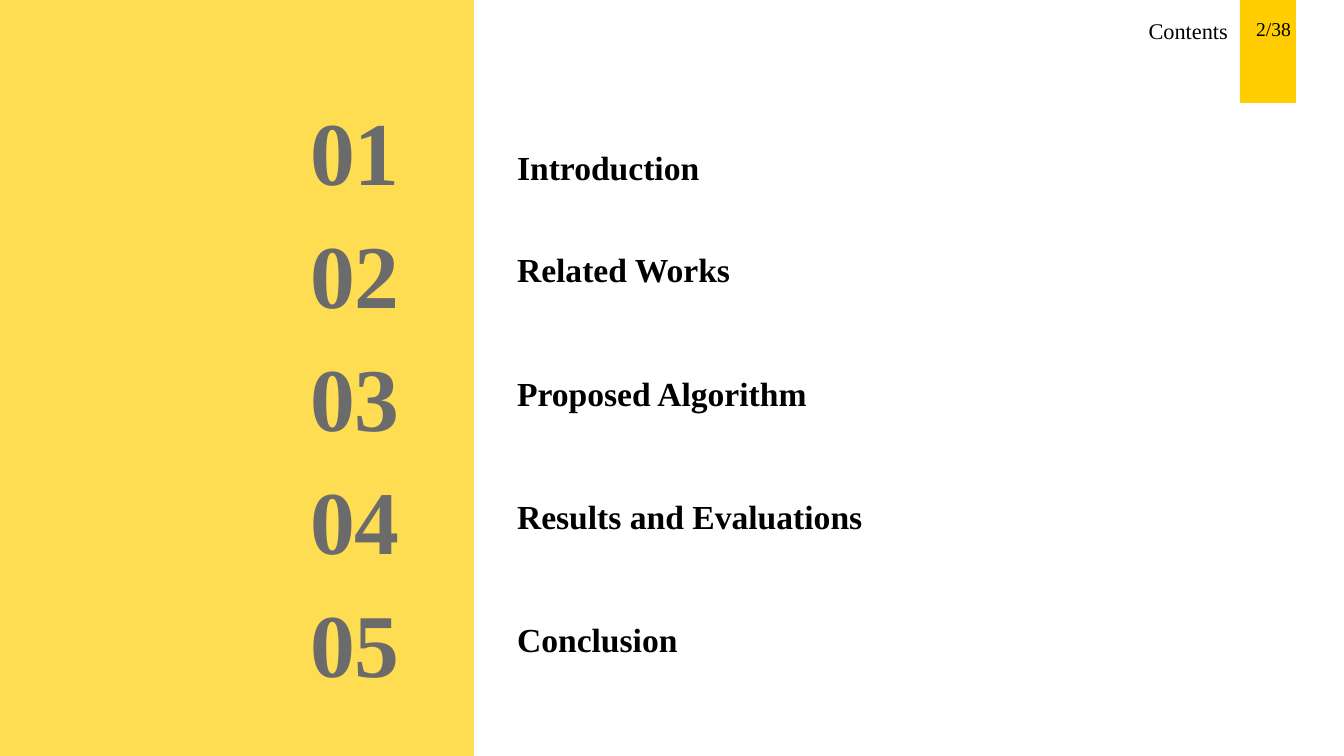
"""Build the contents slide with a numbered list of five sections."""
from lxml import etree
from pptx import Presentation
from pptx import util as u
from pptx.dml.color import RGBColor
from pptx.enum import shapes, text
from pptx.oxml.ns import qn

SCALE = 914400 / 100.8
FONT = "Times New Roman"
YELLOW, WHITE, BLACK, DARK = "FFCD00", "FFFFFF", "000000", "262626"
SECTIONS = [
    ("Introduction", 115),
    ("Related Works", 217),
    ("Proposed Algorithm", 341),
    ("Results and Evaluations", 464),
    ("Conclusion", 587),
]
NUMBER_TOP, NUMBER_STEP = 96, 123


def px(length):
    return u.Emu(round(length * SCALE))


def color(value):
    return RGBColor.from_string(value)


def add_panel(slide, left, top, width, height, fill, opacity=100):
    shape = slide.shapes.add_shape(
        shapes.MSO_SHAPE.RECTANGLE, px(left), px(top), px(width), px(height))
    shape.shadow.inherit = False
    shape.line.fill.background()
    shape.fill.solid()
    shape.fill.fore_color.rgb = color(fill)
    if opacity < 100:
        fill_color = shape.fill._xPr.find(".//" + qn("a:srgbClr"))
        etree.SubElement(fill_color, qn("a:alpha"), val=str(opacity * 1000))


def write_text(shape, words, size, font_color=BLACK, bold=False,
               align=text.PP_ALIGN.LEFT, anchor=text.MSO_ANCHOR.MIDDLE,
               side_inset=13, edge_inset=13):
    frame = shape.text_frame
    frame.text = words
    frame.word_wrap = True
    frame.auto_size = text.MSO_AUTO_SIZE.NONE
    frame.vertical_anchor = anchor
    frame.margin_left = frame.margin_right = px(side_inset)
    frame.margin_top = frame.margin_bottom = px(edge_inset)
    paragraph = frame.paragraphs[0]
    paragraph.alignment = align
    font = paragraph.runs[0].font
    font.name, font.size, font.bold = FONT, u.Pt(size), bold
    font.color.rgb = color(font_color)


def add_label(slide, left, top, width, height, words, size, **style):
    box = slide.shapes.add_textbox(px(left), px(top), px(width), px(height))
    write_text(box, words, size, **style)


def set_title(slide, left, top, width, height, words, size, **style):
    title = slide.shapes.title
    title.left, title.top = px(left), px(top)
    title.width, title.height = px(width), px(height)
    write_text(title, words, size, **style)


def add_section(slide, index, name, name_top):
    add_label(slide, 297, NUMBER_TOP + index * NUMBER_STEP, 231, 85,
              f"{index + 1:02d}", 64, font_color=DARK, bold=True,
              anchor=text.MSO_ANCHOR.TOP, edge_inset=0)
    add_label(slide, 504, name_top, 383, 85, name, 24, bold=True,
              anchor=text.MSO_ANCHOR.BOTTOM)


def main():
    presentation = Presentation()
    presentation.slide_width, presentation.slide_height = px(1344), px(756)
    slide = presentation.slides.add_slide(presentation.slide_layouts[5])
    set_title(slide, 614, 7, 627, 47, "Contents", 16, align=text.PP_ALIGN.RIGHT)
    add_panel(slide, 0, 0, 474, 756, YELLOW)
    for index, (name, name_top) in enumerate(SECTIONS):
        add_section(slide, index, name, name_top)
    add_panel(slide, 0, 0, 474, 756, WHITE, opacity=32)
    add_panel(slide, 1240, 0, 56, 103, YELLOW)
    add_label(slide, 1220, 12, 81, 47, "2/38", 14, align=text.PP_ALIGN.RIGHT,
              anchor=text.MSO_ANCHOR.TOP, side_inset=10, edge_inset=5)
    presentation.save("out.pptx")


if __name__ == "__main__":
    main()
